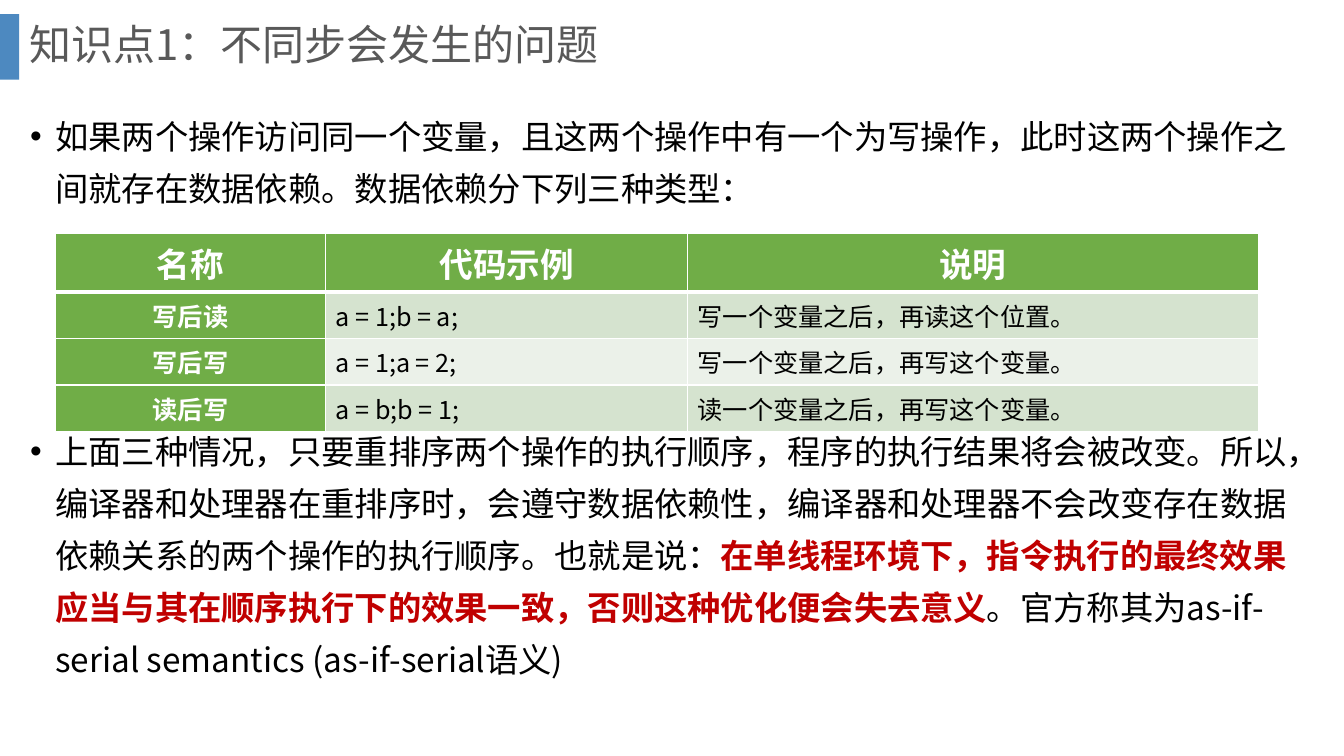
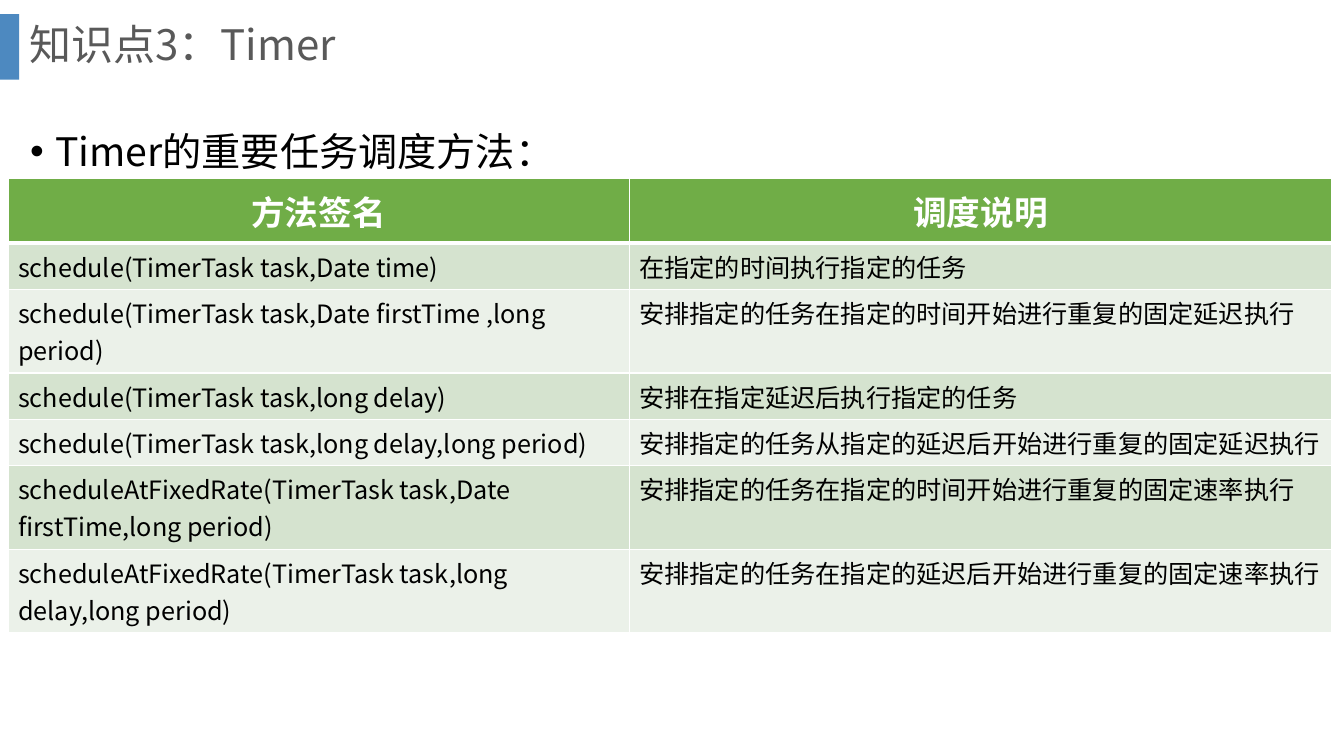
from lxml import etree
from pptx import Presentation
from pptx import util as u
from pptx.dml.color import RGBColor
from pptx.enum import shapes, text
from pptx.oxml.ns import qn

FONT = "Noto Sans CJK SC"
WHITE, BLACK, GREY, RED = "FFFFFF", "000000", "595959", "C00000"
BAR_BLUE, GREEN, BANDS = "2E75B6", "70AD47", ("D5E3CF", "EBF1E9")

SLIDES = [
    dict(
        title="知识点1：不同步会发生的问题",
        size=23.8, line_spacing=1.3, gap=151,
        bullets=[
            [("如果两个操作访问同一个变量，且这两个操作中有一个为写操作，此时这两个操作之间就存在数据依赖。"
              "数据依赖分下列三种类型：", False)],
            [("上面三种情况，只要重排序两个操作的执行顺序，程序的执行结果将会被改变。所以，编译器和处理器在重排序时，"
              "会遵守数据依赖性，编译器和处理器不会改变存在数据依赖关系的两个操作的执行顺序。也就是说：", False),
             ("在单线程环境下，指令执行的最终效果应当与其在顺序执行下的效果一致，否则这种优化便会失去意义", True),
             ("。官方称其为as-if-serial semantics (as-if-serial语义)", False)],
        ],
        table_at=(0.55, 2.32), columns=(2.68, 3.59, 5.66),
        row_heights=(0.58, 0.46, 0.46, 0.46),
        name_column=True, anchor=text.MSO_ANCHOR.MIDDLE,
        rows=[
            ("名称", "代码示例", "说明"),
            ("写后读", "a = 1;b = a;", "写一个变量之后，再读这个位置。"),
            ("写后写", "a = 1;a = 2;", "写一个变量之后，再写这个变量。"),
            ("读后写", "a = b;b = 1;", "读一个变量之后，再写这个变量。"),
        ],
    ),
    dict(
        title="知识点3：Timer",
        size=28, line_spacing=1.5, gap=0,
        bullets=[[("Timer的重要任务调度方法：", False)]],
        table_at=(0.08, 1.77), columns=(6.16, 6.97),
        row_heights=(0.64, 0.46, 0.83, 0.46, 0.46, 0.83, 0.83),
        name_column=False, anchor=text.MSO_ANCHOR.TOP,
        rows=[
            ("方法签名", "调度说明"),
            ("schedule(TimerTask task,Date time)", "在指定的时间执行指定的任务"),
            ("schedule(TimerTask task,Date firstTime ,long period)",
             "安排指定的任务在指定的时间开始进行重复的固定延迟执行"),
            ("schedule(TimerTask task,long delay)", "安排在指定延迟后执行指定的任务"),
            ("schedule(TimerTask task,long delay,long period)",
             "安排指定的任务从指定的延迟后开始进行重复的固定延迟执行"),
            ("scheduleAtFixedRate(TimerTask task,Date firstTime,long period)",
             "安排指定的任务在指定的时间开始进行重复的固定速率执行"),
            ("scheduleAtFixedRate(TimerTask task,long delay,long period)",
             "安排指定的任务在指定的延迟后开始进行重复的固定速率执行"),
        ],
    ),
]


def rgb(value):
    return RGBColor.from_string(value)


def place(shape, *box):
    shape.left, shape.top, shape.width, shape.height = map(u.Inches, box)


def style(run, size, color, bold=False):
    font = run.font
    font.size, font.bold, font.name = u.Pt(size), bold, FONT
    font.color.rgb = rgb(color)
    etree.SubElement(run._r.get_or_add_rPr(), qn("a:ea"), typeface=FONT)


def add_layout_bar(slide):
    bar = slide.shapes.add_shape(shapes.MSO_SHAPE.RECTANGLE, 0, 0, 0, 0)
    place(bar, 0, 0.14, 0.19, 0.65)
    bar.shadow.inherit = False
    bar.line.fill.background()
    bar.fill.solid()
    bar.fill.fore_color.rgb = rgb(BAR_BLUE)
    tint = bar._element.spPr.find(qn("a:solidFill"))[0]
    etree.SubElement(tint, qn("a:alpha"), val="85000")
    slide.slide_layout.shapes._spTree.append(bar._element)


def add_title(slide, words):
    title = slide.shapes.title
    place(title, 0.19, 0, 12.66, 0.93)
    frame = title.text_frame
    frame.text = words
    frame.auto_size = text.MSO_AUTO_SIZE.NONE
    frame.vertical_anchor = text.MSO_ANCHOR.MIDDLE
    heading = frame.paragraphs[0]
    heading.alignment = text.PP_ALIGN.LEFT
    heading.line_spacing = 0.9
    style(heading.runs[0], 30, GREY)


def add_bullets(slide, content):
    body = slide.shapes.add_textbox(0, 0, 0, 0)
    place(body, 0.2, 0.98, 12.9, 5.96)
    frame = body.text_frame
    frame.word_wrap = True
    for index, parts in enumerate(content["bullets"]):
        bullet = frame.add_paragraph() if index else frame.paragraphs[0]
        props = bullet._p.get_or_add_pPr()
        props.set("marL", str(u.Inches(0.25)))
        props.set("indent", str(-u.Inches(0.25)))
        etree.SubElement(props, qn("a:buFont"), typeface="Arial")
        etree.SubElement(props, qn("a:buChar"), char="•")
        bullet.line_spacing = content["line_spacing"]
        bullet.space_before = u.Pt(content["gap"] if index else 0)
        for words, stressed in parts:
            run = bullet.add_run()
            run.text = words
            style(run, content["size"], RED if stressed else BLACK, stressed)


def add_borders(cell, row):
    props = cell._tc.get_or_add_tcPr()
    thick = {"lnB": row == 0, "lnT": row == 1}
    for side in ("lnL", "lnR", "lnT", "lnB"):
        width = u.Pt(3 if thick.get(side) else 1)
        line = etree.SubElement(props, qn("a:" + side), w=str(width))
        fill = etree.SubElement(line, qn("a:solidFill"))
        etree.SubElement(fill, qn("a:srgbClr"), val=WHITE)


def add_grid(slide, content):
    rows, columns, heights = content["rows"], content["columns"], content["row_heights"]
    left, top = content["table_at"]
    box = map(u.Inches, (left, top, sum(columns), sum(heights)))
    table = slide.shapes.add_table(len(rows), len(columns), *box).table
    for column, width in zip(table.columns, columns):
        column.width = u.Inches(width)
    for r, (values, height) in enumerate(zip(rows, heights)):
        table.rows[r].height = u.Inches(height)
        for c, value in enumerate(values):
            header = r == 0 or (c == 0 and content["name_column"])
            cell = table.cell(r, c)
            add_borders(cell, r)
            cell.fill.solid()
            cell.fill.fore_color.rgb = rgb(GREEN if header else BANDS[(r - 1) % 2])
            cell.vertical_anchor = content["anchor"] if r else text.MSO_ANCHOR.MIDDLE
            cell.text_frame.text = value
            entry = cell.text_frame.paragraphs[0]
            entry.alignment = text.PP_ALIGN.CENTER if header else text.PP_ALIGN.LEFT
            style(entry.runs[0], 18 if r else 24, WHITE if header else BLACK, header)


def main():
    deck = Presentation()
    deck.slide_width, deck.slide_height = u.Inches(13.33), u.Inches(7.5)
    title_only = deck.slide_layouts[5]
    for index, content in enumerate(SLIDES):
        slide = deck.slides.add_slide(title_only)
        if index == 0:
            add_layout_bar(slide)
        add_title(slide, content["title"])
        add_bullets(slide, content)
        add_grid(slide, content)
    deck.save("out.pptx")


if __name__ == "__main__":
    main()
